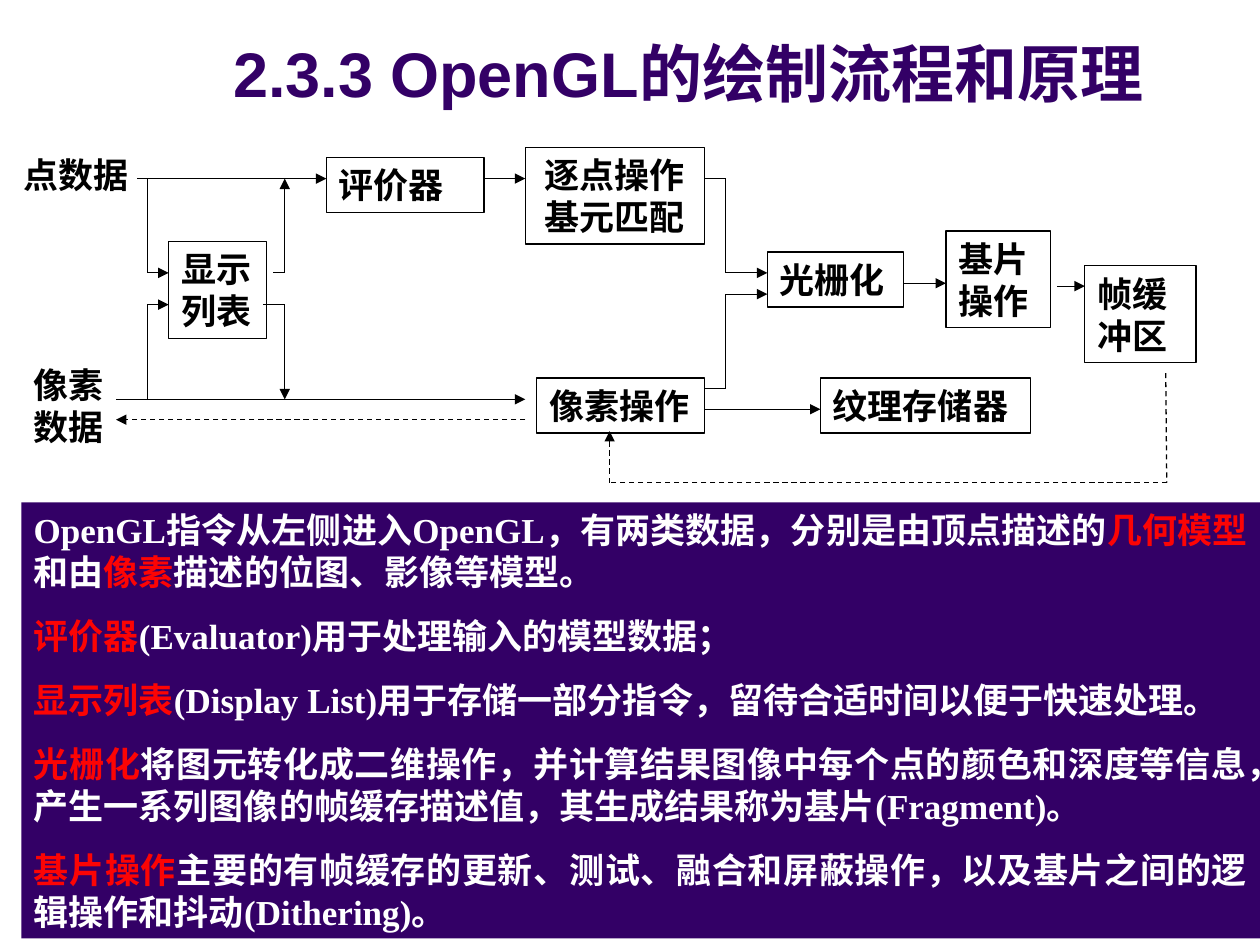
from itertools import pairwise

from lxml import etree
from pptx import Presentation
from pptx import util as u
from pptx.dml.color import RGBColor
from pptx.enum import dml, shapes, text
from pptx.oxml.ns import qn

BLACK = RGBColor(0x00, 0x00, 0x00)
WHITE = RGBColor(0xFF, 0xFF, 0xFF)
PURPLE = RGBColor(0x33, 0x00, 0x66)
RED = RGBColor(0xFC, 0x04, 0x04)

ONE_LINE, TWO_LINES = 1.11, 1.95  # box heights in cm


class Diagram:
    """Draws on one page; all lengths are in centimetres."""

    body_font = "Times New Roman"
    body_size = u.Pt(20)
    line_width = u.Pt(0.75)

    def __init__(self, page):
        self.page = page

    def style(self, para, color=None, font=body_font, size=body_size):
        para.font.name = font
        para.font.size = size
        para.font.bold = True
        if color is not None:
            para.font.color.rgb = color

    def title(self, words, *area):
        box = self.page.shapes.add_textbox(*map(u.Cm, area))
        box.text_frame.word_wrap = True
        box.text_frame.vertical_anchor = text.MSO_ANCHOR.BOTTOM
        para = box.text_frame.paragraphs[0]
        para.text = words
        self.style(para, PURPLE, "Arial", u.Pt(36))

    def label(self, words, *area):
        box = self.page.shapes.add_textbox(*map(u.Cm, area))
        box.text_frame.word_wrap = True
        para = box.text_frame.paragraphs[0]
        para.text = words
        self.style(para, BLACK)

    def rectangle(self, *area):
        box = self.page.shapes.add_shape(shapes.MSO_SHAPE.RECTANGLE, *map(u.Cm, area))
        box.shadow.inherit = False
        box.text_frame.word_wrap = True
        box.text_frame.vertical_anchor = text.MSO_ANCHOR.TOP
        return box

    def stage(self, lines, *area, align=text.PP_ALIGN.LEFT):
        box = self.rectangle(*area)
        box.fill.background()
        box.line.color.rgb = BLACK
        box.line.width = self.line_width
        box.text_frame.text = lines
        for para in box.text_frame.paragraphs:
            para.alignment = align
            self.style(para, BLACK)

    def route(self, *points, arrow=True, dashed=False):
        """Join the points with straight lines; the arrowhead is on the last."""
        for start, end in pairwise(points):
            line = self.page.shapes.add_connector(
                shapes.MSO_CONNECTOR.STRAIGHT, *map(u.Cm, start + end))
            line.line.color.rgb = BLACK
            line.line.width = self.line_width
            if dashed:
                line.line.dash_style = dml.MSO_LINE.DASH
            if arrow and end == points[-1]:
                etree.SubElement(line.line._get_or_add_ln(), qn("a:tailEnd"), type="triangle")
            etree.SubElement(line._element.spPr, qn("a:effectLst"))

    def explanation(self, paragraphs, *area):
        """Fill a panel with paragraphs, each a list of (words, colour)."""
        box = self.rectangle(*area)
        box.fill.solid()
        box.fill.fore_color.rgb = PURPLE
        box.line.fill.background()
        frame = box.text_frame
        for index, spans in enumerate(paragraphs):
            para = frame.add_paragraph() if index else frame.paragraphs[0]
            para.alignment = text.PP_ALIGN.JUSTIFY
            if index:
                para.space_before = u.Pt(12.5)
            self.style(para)
            for words, color in spans:
                span = para.add_run()
                span.text = words
                span.font.color.rgb = color


EXPLANATION = [
    [("OpenGL指令从左侧进入OpenGL，有两类数据，分别是由顶点描述的", WHITE),
     ("几何模型", RED), ("和由", WHITE), ("像素", RED),
     ("描述的位图、影像等模型。", WHITE)],
    [("评价器", RED), ("(Evaluator)用于处理输入的模型数据；", WHITE)],
    [("显示列表", RED),
     ("(Display List)用于存储一部分指令，留待合适时间以便于快速处理。", WHITE)],
    [("光栅化", RED),
     ("将图元转化成二维操作，并计算结果图像中每个点的颜色和深度等信息，"
      "产生一系列图像的帧缓存描述值，其生成结果称为基片(Fragment)。", WHITE)],
    [("基片操作", RED),
     ("主要的有帧缓存的更新、测试、融合和屏蔽操作，"
      "以及基片之间的逻辑操作和抖动(Dithering)。", WHITE)],
]


def main():
    deck = Presentation()
    deck.slide_width, deck.slide_height = u.Cm(25.4), u.Cm(19.05)
    diagram = Diagram(deck.slides.add_slide(deck.slide_layouts[6]))

    diagram.title("2.3.3 OpenGL的绘制流程和原理", 4.45, 0.64, 20.27, 1.7)
    diagram.label("点数据", 0.23, 2.97, 3.81, ONE_LINE)
    diagram.label("像素数据", 0.43, 7.2, 2.12, TWO_LINES)

    diagram.stage("评价器", 6.58, 3.18, 3.18, ONE_LINE)
    diagram.stage("显示列表", 3.4, 4.87, 1.97, TWO_LINES)
    diagram.stage("逐点操作\n基元匹配", 10.59, 2.97, 3.61, TWO_LINES,
                  align=text.PP_ALIGN.CENTER)
    diagram.stage("像素操作", 10.82, 7.62, 3.38, ONE_LINE)
    diagram.stage("纹理存储器", 16.54, 7.62, 4.23, ONE_LINE)
    diagram.stage("光栅化", 15.47, 5.08, 2.74, ONE_LINE)
    diagram.stage("基片操作", 19.07, 4.66, 2.11, TWO_LINES)
    diagram.stage("帧缓冲区", 21.87, 5.36, 2.24, TWO_LINES)

    points_y, pixels_y = 3.6, 8.05
    upper_y, lower_y = 5.5, 6.14
    list_in, list_out, merge = 2.97, 5.74, 14.63

    # Point data along the top, pixel data along the bottom
    diagram.route((2.77, points_y), (6.58, points_y))
    diagram.route((9.75, points_y), (10.59, points_y))
    diagram.route((2.34, pixels_y), (10.59, pixels_y))
    diagram.route((10.59, 8.46), (2.34, 8.46), dashed=True)

    # Into and out of the display list
    diagram.route((list_in, points_y), (list_in, upper_y), (3.4, upper_y))
    diagram.route((list_in, pixels_y), (list_in, lower_y), (3.4, lower_y))
    diagram.route((5.51, upper_y), (list_out, upper_y), (list_out, points_y))
    diagram.route((5.31, lower_y), (list_out, lower_y), (list_out, pixels_y))

    # Rasterisation, fragments and frame buffer
    diagram.route((14.2, points_y), (merge, points_y), (merge, upper_y), (15.47, upper_y))
    diagram.route((14.2, 7.83), (merge, 7.83), (merge, 5.93), (15.47, 5.93))
    diagram.route((14.2, 8.25), (16.54, 8.25))
    diagram.route((18.21, 5.71), (19.07, 5.71))
    diagram.route((21.31, 5.77), (21.87, 5.77))
    diagram.route((23.5, 7.52), (23.52, 9.73), (12.29, 9.73), (12.29, 8.69), dashed=True)

    diagram.explanation(EXPLANATION, 0.43, 10.13, 24.97, 8.79)
    deck.save("out.pptx")


if __name__ == "__main__":
    main()
